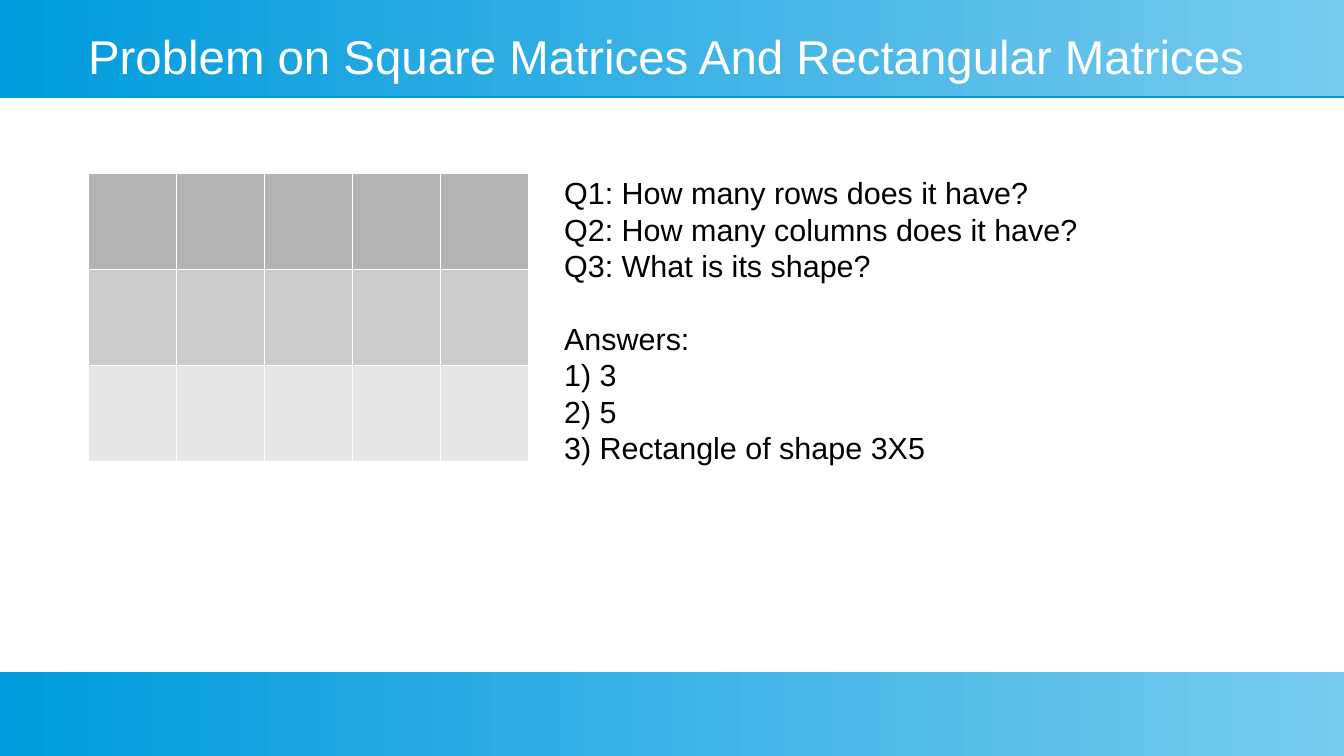
from lxml.etree import SubElement
from pptx import Presentation
from pptx.dml.color import RGBColor
from pptx.enum.shapes import MSO_SHAPE
from pptx.enum.text import MSO_ANCHOR, PP_ALIGN
from pptx.oxml.ns import qn
from pptx.util import Pt

TITLE = "Problem on Square Matrices And Rectangular Matrices"
QUESTIONS = [
    "Q1: How many rows does it have?",
    "Q2: How many columns does it have?",
    "Q3: What is its shape?",
]
ANSWERS = ["Answers:", "1) 3", "2) 5", "3) Rectangle of shape 3X5"]
MATRIX_ROWS = ["dark", "medium", "light"]
MATRIX_COLUMNS = 5

COLORS = {
    "band_left": "009BDD", "band_right": "77CAEE",
    "white": "FFFFFF", "black": "000000",
    "dark": "B3B3B3", "medium": "CCCCCC", "light": "E6E6E6",
}
FONT = "Arial"
SLIDE_WIDTH, SLIDE_HEIGHT = 793.5, 446.5
HEADER_HEIGHT, FOOTER_HEIGHT = 57, 49.6
CELL_WIDTH, CELL_HEIGHT = 52, 56.7
LINE_HEIGHT = 21.5


def color(name):
    return RGBColor.from_string(COLORS[name])


def style_font(paragraph, size, color_name):
    paragraph.font.name = FONT
    paragraph.font.size = Pt(size)
    paragraph.font.color.rgb = color(color_name)


def add_band(slide, top, height):
    """Add a full-width gradient band with a thin shadow edge below it."""
    band = slide.shapes.add_shape(
        MSO_SHAPE.RECTANGLE, 0, Pt(top), Pt(SLIDE_WIDTH), Pt(height))
    band.line.fill.background()
    band.fill.gradient()
    band.fill.gradient_angle = 0
    for stop, position, name in zip(
            band.fill.gradient_stops, (0, 1), ("band_left", "band_right")):
        stop.position = position
        stop.color.rgb = color(name)
    band.shadow.inherit = False
    effects = band.element.spPr.find(qn("a:effectLst"))
    edge = SubElement(effects, qn("a:outerShdw"), blurRad="0",
                      dist=str(Pt(0.9)), dir="5400000", algn="t", rotWithShape="0")
    SubElement(edge, qn("a:srgbClr"), val=COLORS["band_left"])


def add_borders(cell):
    properties = cell._tc.get_or_add_tcPr()
    for index, side in enumerate(("a:lnL", "a:lnR", "a:lnT", "a:lnB")):
        border = properties.makeelement(qn(side), {"w": str(Pt(0.06))})
        fill = SubElement(border, qn("a:solidFill"))
        SubElement(fill, qn("a:srgbClr"), val=COLORS["white"])
        properties.insert(index, border)


def add_title(slide):
    title = slide.shapes.title
    title.left, title.top, title.width, title.height = Pt(24.5), Pt(14.4), Pt(737.3), Pt(37.4)
    frame = title.text_frame
    frame.margin_left = frame.margin_right = frame.margin_top = frame.margin_bottom = 0
    frame.vertical_anchor = MSO_ANCHOR.MIDDLE
    frame.text = TITLE
    frame.paragraphs[0].alignment = PP_ALIGN.CENTER
    style_font(frame.paragraphs[0], 28, "white")
    # Bands are added after the placeholder, so bring the title forward.
    slide.shapes._spTree.append(title.element)


def add_matrix(slide):
    matrix = slide.shapes.add_table(
        len(MATRIX_ROWS), MATRIX_COLUMNS, Pt(52), Pt(102.4),
        Pt(CELL_WIDTH * MATRIX_COLUMNS), Pt(CELL_HEIGHT * len(MATRIX_ROWS))).table
    for row, shade in zip(matrix.rows, MATRIX_ROWS):
        for cell in row.cells:
            cell.fill.solid()
            cell.fill.fore_color.rgb = color(shade)
            add_borders(cell)


def add_questions(slide):
    frame = slide.shapes.add_textbox(Pt(326), Pt(99.6), Pt(396.7), Pt(168.5)).text_frame
    frame.word_wrap = True
    lines = QUESTIONS + ANSWERS
    frame.text = "\n".join(lines)
    for paragraph in frame.paragraphs:
        paragraph.line_spacing = Pt(LINE_HEIGHT)
        style_font(paragraph, 18, "black")
    frame.paragraphs[len(QUESTIONS)].space_before = Pt(LINE_HEIGHT)


def main():
    presentation = Presentation()
    presentation.slide_width = Pt(SLIDE_WIDTH)
    presentation.slide_height = Pt(SLIDE_HEIGHT)
    slide = presentation.slides.add_slide(presentation.slide_layouts[5])
    add_band(slide, 0, HEADER_HEIGHT)
    add_band(slide, SLIDE_HEIGHT - FOOTER_HEIGHT, FOOTER_HEIGHT)
    add_title(slide)
    add_matrix(slide)
    add_questions(slide)
    presentation.save("out.pptx")


if __name__ == "__main__":
    main()
